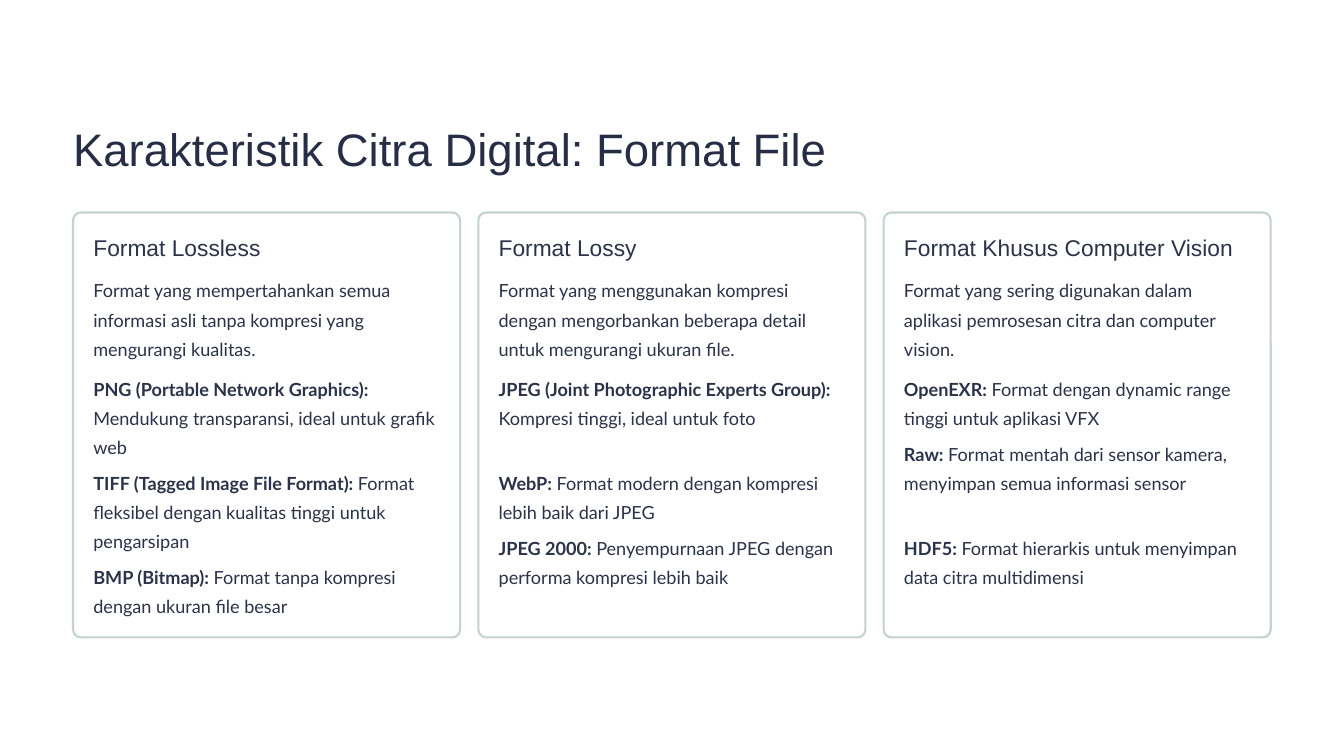
from pptx import Presentation
from pptx.dml.color import RGBColor
from pptx.enum.shapes import MSO_SHAPE as Shape
from pptx.enum.text import MSO_ANCHOR as Anchor
from pptx.util import Inches, Pt

WHITE = RGBColor(0xFF, 0xFF, 0xFF)
NAVY = RGBColor(0x27, 0x2D, 0x45)
INK = RGBColor(0x2C, 0x32, 0x49)
SAGE = RGBColor(0xC5, 0xD2, 0xCF)

# Grid: columns start at the left margin, rows at the top of the cards
LEFT, TOP = Inches(0.87), Inches(2.53)
COLUMN, ROW = Inches(4.825), Pt(25)
CARD_WIDTH, CARD_ROWS = 0.955, 14.57
INSET, TEXT_WIDTH = 0.05, 0.856
HEADING_ROW, INTRO_ROW, ITEMS_ROW, ITEM_GAP = 0.69, 2.05, 5.43, 0.22

# Heading, introduction, then items as (term, description, rows reserved)
FORMATS = [
    ("Format Lossless",
     "Format yang mempertahankan semua informasi asli tanpa kompresi yang mengurangi kualitas.",
     [("PNG (Portable Network Graphics):", " Mendukung transparansi, ideal untuk grafik web", 3),
      ("TIFF (Tagged Image File Format):",
       " Format fleksibel dengan kualitas tinggi untuk pengarsipan", 3),
      ("BMP (Bitmap):", " Format tanpa kompresi dengan ukuran file besar", 2)]),
    ("Format Lossy",
     "Format yang menggunakan kompresi dengan mengorbankan beberapa detail "
     "untuk mengurangi ukuran file.",
     [("JPEG (Joint Photographic Experts Group):", " Kompresi tinggi, ideal untuk foto", 3),
      ("WebP:", " Format modern dengan kompresi lebih baik dari JPEG", 2),
      ("JPEG 2000:", " Penyempurnaan JPEG dengan performa kompresi lebih baik", 3)]),
    ("Format Khusus Computer Vision",
     "Format yang sering digunakan dalam aplikasi pemrosesan citra dan computer vision.",
     [("OpenEXR:", " Format dengan dynamic range tinggi untuk aplikasi VFX", 2),
      ("Raw:", " Format mentah dari sensor kamera, menyimpan semua informasi sensor", 3),
      ("HDF5:", " Format hierarkis untuk menyimpan data citra multidimensi", 2)]),
]


def add_run(paragraph, text, *, font="Lato", size=15.5, color=INK, bold=False):
    run = paragraph.add_run()
    run.text = text
    run.font.name = font
    run.font.size = Pt(size)
    run.font.bold = bold
    run.font.color.rgb = color


class FormatSlide:
    def __init__(self, deck):
        self.slide = deck.slides.add_slide(deck.slide_layouts[6])
        background = self.slide.background.fill
        background.solid()
        background.fore_color.rgb = WHITE

    def area(self, column, row, columns, rows):
        return (round(LEFT + column * COLUMN), round(TOP + row * ROW),
                round(columns * COLUMN), round(rows * ROW))

    def text(self, column, row, columns, rows, content, *, term="", leading=25, **style):
        frame = self.slide.shapes.add_textbox(*self.area(column, row, columns, rows)).text_frame
        frame.word_wrap = True
        frame.vertical_anchor = Anchor.TOP
        frame.margin_left = frame.margin_right = frame.margin_top = frame.margin_bottom = 0
        paragraph = frame.paragraphs[0]
        paragraph.line_spacing = Pt(leading)
        if term:
            add_run(paragraph, term, bold=True, **style)
        add_run(paragraph, content, **style)

    def title(self, content):
        self.text(0, -3.2, 2, 1.96, content, leading=48.5,
                  font="Arial", size=39, color=NAVY)

    def panel(self, column):
        panel = self.slide.shapes.add_shape(
            Shape.ROUNDED_RECTANGLE, *self.area(column, 0, CARD_WIDTH, CARD_ROWS))
        panel.adjustments[0] = 0.02
        panel.shadow.inherit = False
        panel.fill.solid()
        panel.fill.fore_color.rgb = WHITE
        panel.line.color.rgb = SAGE
        panel.line.width = Pt(1.8)

    def card(self, column, heading, intro, items):
        self.panel(column)
        left = column + INSET
        self.text(left, HEADING_ROW, TEXT_WIDTH, 1, heading, leading=24,
                  font="Arial", size=19.5)
        self.text(left, INTRO_ROW, TEXT_WIDTH, 3, intro)
        row = ITEMS_ROW
        for term, description, rows in items:
            self.text(left, row, TEXT_WIDTH, rows, description, term=term)
            row += rows + ITEM_GAP


def main():
    deck = Presentation()
    deck.slide_width, deck.slide_height = Inches(16), Inches(9)
    page = FormatSlide(deck)

    # Title
    page.title("Karakteristik Citra Digital: Format File")

    # One card per family of formats
    for column, (heading, intro, items) in enumerate(FORMATS):
        page.card(column, heading, intro, items)

    deck.save("out.pptx")


if __name__ == "__main__":
    main()
